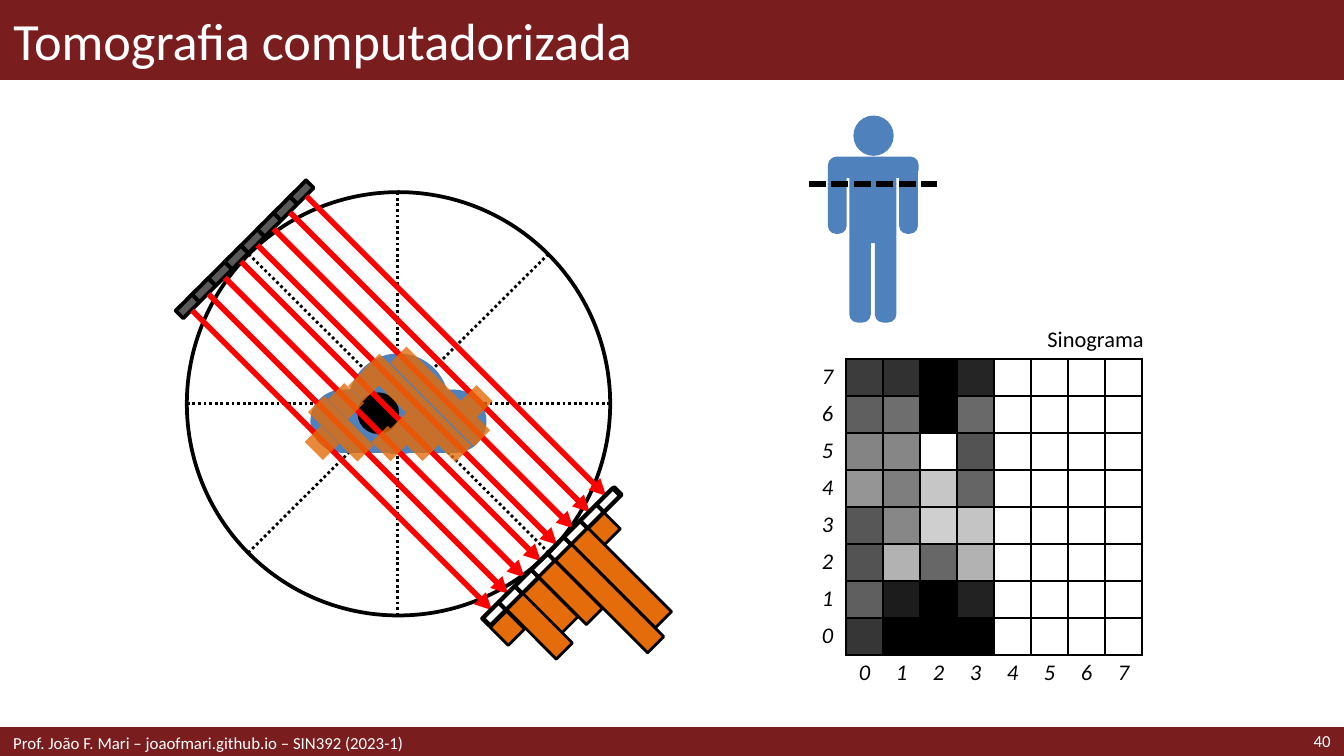
from dataclasses import dataclass
from typing import Optional

from lxml import etree
from pptx import Presentation
from pptx.dml.color import RGBColor
from pptx.enum.dml import MSO_LINE
from pptx.enum.shapes import MSO_CONNECTOR, MSO_SHAPE
from pptx.enum.text import MSO_ANCHOR, MSO_AUTO_SIZE, PP_ALIGN
from pptx.oxml.ns import qn
from pptx.util import Inches, Pt

RECT, ROUND, OVAL = MSO_SHAPE.RECTANGLE, MSO_SHAPE.ROUNDED_RECTANGLE, MSO_SHAPE.OVAL
STRAIGHT = MSO_CONNECTOR.STRAIGHT
DOTS, DASHES = MSO_LINE.ROUND_DOT, MSO_LINE.SQUARE_DOT
LEFT, CENTER, RIGHT = PP_ALIGN.LEFT, PP_ALIGN.CENTER, PP_ALIGN.RIGHT
MIDDLE, TOP = MSO_ANCHOR.MIDDLE, MSO_ANCHOR.TOP
NO_FIT = MSO_AUTO_SIZE.NONE

MAROON = RGBColor(0x79, 0x1D, 0x1F)
WHITE = RGBColor(0xFF, 0xFF, 0xFF)
BLACK = RGBColor(0, 0, 0)
BLUE = RGBColor(0x4F, 0x81, 0xBD)
GRAY = RGBColor(0x59, 0x59, 0x59)
RED = RGBColor(0xFF, 0, 0)
ORANGE = RGBColor(0xE4, 0x6C, 0x0A)

FONT = "Calibri"
TITLE_FMT = {"name": FONT, "size": Pt(28)}
FOOTER_FMT = {"name": FONT, "size": Pt(9)}
LABEL_FMT = {"name": FONT, "size": Pt(12)}
AXIS_FMT = {"name": FONT, "size": Pt(12), "italic": True}


@dataclass(frozen=True)
class Style:
    fill: Optional[RGBColor] = None
    line: Optional[RGBColor] = None
    width: float = 1
    alpha: Optional[int] = None


@dataclass(frozen=True)
class Part:
    kind: int
    x: float
    y: float
    w: float
    h: float
    rot: float = 0
    adj: Optional[float] = None


@dataclass(frozen=True)
class Stroke:
    color: RGBColor
    width: float
    dash: Optional[int] = None
    arrow: bool = False


def draw_part(s, part: Part, style: Style):
    sp = s.shapes.add_shape(part.kind, Inches(part.x), Inches(part.y), Inches(part.w), Inches(part.h))
    sp.shadow.inherit = False
    sp.rotation = part.rot
    if part.adj is not None:
        sp.adjustments[0] = part.adj
    if style.fill is None:
        sp.fill.background()
    else:
        sp.fill.solid()
        sp.fill.fore_color.rgb = style.fill
    if style.alpha is not None:
        clr = sp.element.spPr.find(qn("a:solidFill"))[0]
        etree.SubElement(clr, qn("a:alpha"), val=str(style.alpha * 1000))
    if style.line is None:
        sp.line.fill.background()
    else:
        sp.line.color.rgb = style.line
        sp.line.width = Pt(style.width)


def draw_line(s, x1: float, y1: float, x2: float, y2: float, stroke: Stroke):
    cx = s.shapes.add_connector(STRAIGHT, Inches(x1), Inches(y1), Inches(x2), Inches(y2))
    cx.line.color.rgb = stroke.color
    cx.line.width = Pt(stroke.width)
    if stroke.dash is not None:
        cx.line.dash_style = stroke.dash
    spPr = cx.element.spPr
    if stroke.arrow:
        etree.SubElement(spPr.find(qn("a:ln")), qn("a:tailEnd"), type="triangle")
    etree.SubElement(spPr, qn("a:effectLst"))


def add_run(p, text: str, fmt: dict, color: RGBColor):
    r = p.add_run()
    r.text = text
    for key, value in fmt.items():
        setattr(r.font, key, value)
    r.font.color.rgb = color


def write(tf, text: str, fmt: dict, color: RGBColor, align: int, anchor: int):
    tf.word_wrap = True
    tf.auto_size = NO_FIT
    tf.vertical_anchor = anchor
    p = tf.paragraphs[0]
    p.alignment = align
    add_run(p, text, fmt, color)


def add_text(s, x: float, y: float, w: float, h: float, text: str, fmt: dict, color: RGBColor,
             align: int, anchor: int):
    tf = s.shapes.add_textbox(Inches(x), Inches(y), Inches(w), Inches(h)).text_frame
    write(tf, text, fmt, color, align, anchor)
    return tf


def set_borders(cell, sides: str):
    tcPr = cell._tc.get_or_add_tcPr()
    for side in "LRTB":
        ln = etree.SubElement(tcPr, qn(f"a:ln{side}"), w=str(Pt(1)))
        if side in sides:
            fill = etree.SubElement(ln, qn("a:solidFill"))
            etree.SubElement(fill, qn("a:srgbClr"), val=str(BLACK))
        else:
            etree.SubElement(ln, qn("a:noFill"))


def draw_sinogram(s, levels: list, x: float, y: float, side: float):
    n = len(levels)
    tbl = s.shapes.add_table(n + 1, n + 1, Inches(x), Inches(y), Inches(side), Inches(side)).table
    tbl.first_row = tbl.horz_banding = False
    for col in tbl.columns:
        col.width = Inches(side / (n + 1))
    for i, row in enumerate(tbl.rows):
        row.height = Inches(side / (n + 1))
        for j, cell in enumerate(row.cells):
            for edge in ("left", "right", "top", "bottom"):
                setattr(cell, f"margin_{edge}", 0)
            cell.vertical_anchor = MIDDLE
            label, sides = "", ""
            if i < n and j > 0:
                sides = "LRTB"
            elif i < n:
                label, sides = str(n - 1 - i), "R"
            elif j > 0:
                label, sides = str(j - 1), "T"
            set_borders(cell, sides)
            if i < n and 0 < j <= len(levels[i]):
                cell.fill.solid()
                cell.fill.fore_color.rgb = RGBColor(*[levels[i][j - 1]] * 3)
            else:
                cell.fill.background()
            p = cell.text_frame.paragraphs[0]
            p.alignment = CENTER
            if label:
                add_run(p, label, AXIS_FMT, BLACK)
            else:
                etree.SubElement(p._p, qn("a:endParaRPr"), sz="1200")


AXES = [(4.08, 1.89, 1.85, 4.11), (2.96, 1.43, 2.96, 4.58), (1.39, 3, 4.54, 3), (1.85, 1.89, 4.08, 4.11)]
BODY_SLICE = [Part(OVAL, 2.59, 2.63, 0.75, 0.75), Part(OVAL, 3.15, 2.9, 0.47, 0.47),
              Part(RECT, 2.54, 2.9, 0.85, 0.47), Part(OVAL, 2.31, 2.9, 0.47, 0.47)]
PERSON = [Part(ROUND, 6.16, 1.17, 0.14, 0.57, 0, 0.43), Part(ROUND, 6.42, 0.91, 0.16, 0.67, 90, 0.39),
          Part(ROUND, 6.69, 1.17, 0.14, 0.57, 0, 0.43), Part(ROUND, 6.32, 1.17, 0.35, 0.64),
          Part(ROUND, 6.32, 1.71, 0.16, 0.69, 0, 0.38), Part(OVAL, 6.35, 0.86, 0.3, 0.3),
          Part(ROUND, 6.51, 1.71, 0.16, 0.69, 0, 0.38)]
ABSORBED = [(3.46, 2.9, 0.17), (3.19, 2.51, 0.88), (3.02, 2.55, 0.97), (2.62, 2.79, 0.16), (2.49, 2.88, 0.21),
            (2.45, 2.93, 0.52), (2.31, 3.2, 0.19), (3, 3.08, 0.34), (2.81, 3.2, 0.2)]
PROFILE = [(4.41, 3.85, 0.17), (4.54, 3.86, 0.88), (4.45, 3.97, 0.97), (4.16, 4.16, 0.5), (4.01, 4.3, 0.41),
           (3.93, 4.4, 0.52), (3.69, 4.58, 0.19)]
LEVELS = [[0x3C, 0x31, 0x00, 0x25], [0x5F, 0x6E, 0x00, 0x69], [0x84, 0x86, 0xFF, 0x53], [0x95, 0x7E, 0xC6, 0x65],
          [0x57, 0x87, 0xCF, 0xC4], [0x53, 0xB2, 0x67, 0xB2], [0x5F, 0x1C, 0x00, 0x22], [0x36, 0x00, 0x00, 0x00]]
TILT, CELL_W, CELL_H = 135, 0.17, 0.08
OFFSETS = [k * 0.85 / 7 for k in range(8)]
RAY_SPAN = 2.23


def main():
    prs = Presentation()
    prs.slide_width = Inches(10)
    prs.slide_height = prs.slide_width * 9 // 16
    s = prs.slides.add_slide(prs.slide_layouts[5])

    draw_part(s, Part(RECT, 0, 0, 10, 0.59), Style(MAROON, MAROON, 1))
    draw_part(s, Part(RECT, 0, 5.42, 10, 0.21), Style(MAROON, MAROON, 2))
    title = s.shapes.title
    title.left, title.top, title.width, title.height = 0, 0, Inches(10), Inches(0.59)
    write(title.text_frame, "Tomografia computadorizada", TITLE_FMT, WHITE, LEFT, MIDDLE)
    title.element.getparent().append(title.element)
    add_text(s, 8.86, 5.41, 1.14, 0.21, "40", FOOTER_FMT, WHITE, RIGHT, MIDDLE)
    add_text(s, 0, 5.42, 6.89, 0.21, "Prof. João F. Mari – joaofmari.github.io – SIN392 (2023-1)",
             FOOTER_FMT, WHITE, LEFT, MIDDLE)

    for axis in AXES:
        draw_line(s, *axis, Stroke(BLACK, 1.5, DOTS))
    draw_part(s, Part(OVAL, 1.39, 1.43, 3.15, 3.15), Style(None, BLACK, 2))
    for part in BODY_SLICE:
        draw_part(s, part, Style(BLUE))
    draw_part(s, Part(OVAL, 2.66, 2.92, 0.31, 0.31), Style(BLACK))
    for part in PERSON:
        draw_part(s, part, Style(BLUE))
    draw_line(s, 6.02, 1.37, 6.97, 1.37, Stroke(BLACK, 3, DASHES))

    for d in OFFSETS:
        draw_part(s, Part(RECT, 2.16 - d, 1.39 + d, CELL_W, CELL_H, TILT), Style(GRAY, BLACK, 2))
    for d in OFFSETS:
        x, y = 2.28 - d, 1.46 + d
        draw_line(s, x, y, x + RAY_SPAN, y + RAY_SPAN, Stroke(RED, 3, arrow=True))
    draw_part(s, Part(RECT, 3.42, 4.1, 1.38, CELL_H, TILT), Style(None, BLACK, 2))
    for d in OFFSETS:
        draw_part(s, Part(RECT, 4.44 - d, 3.68 + d, CELL_W, CELL_H, TILT), Style(None, BLACK, 2))
    for bars, style in ((ABSORBED, Style(ORANGE, alpha=80)), (PROFILE, Style(ORANGE, BLACK, 1.5))):
        for x, y, h in bars:
            draw_part(s, Part(RECT, x, y, CELL_W, h, TILT), style)

    tf = add_text(s, 6.46, 2.42, 2.05, 0.21, "Sinograma", LABEL_FMT, BLACK, RIGHT, TOP)
    tf.margin_top = tf.margin_right = tf.margin_bottom = 0
    draw_sinogram(s, LEVELS, 6.02, 2.67, 2.48)
    prs.save("out.pptx")


if __name__ == "__main__":
    main()
